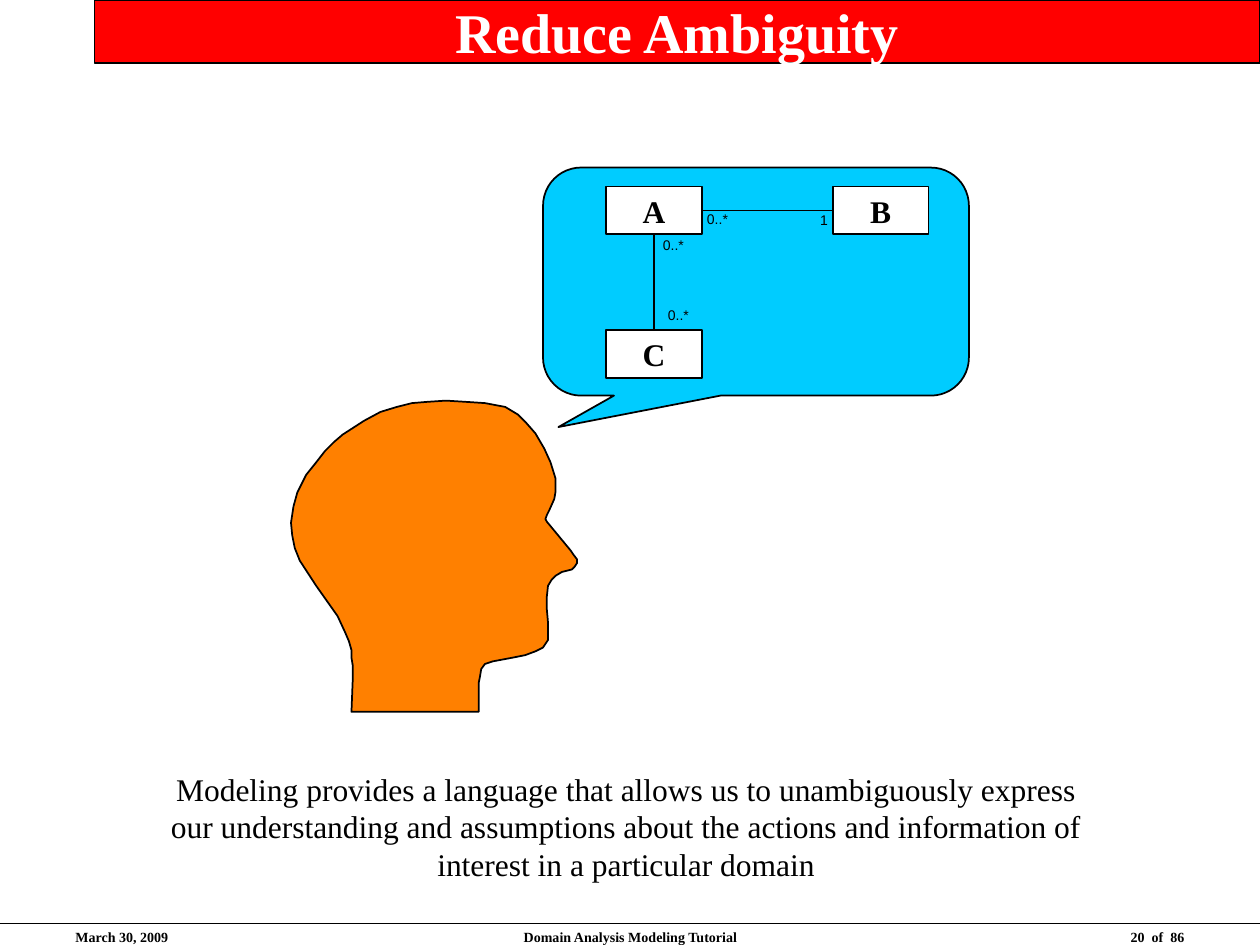
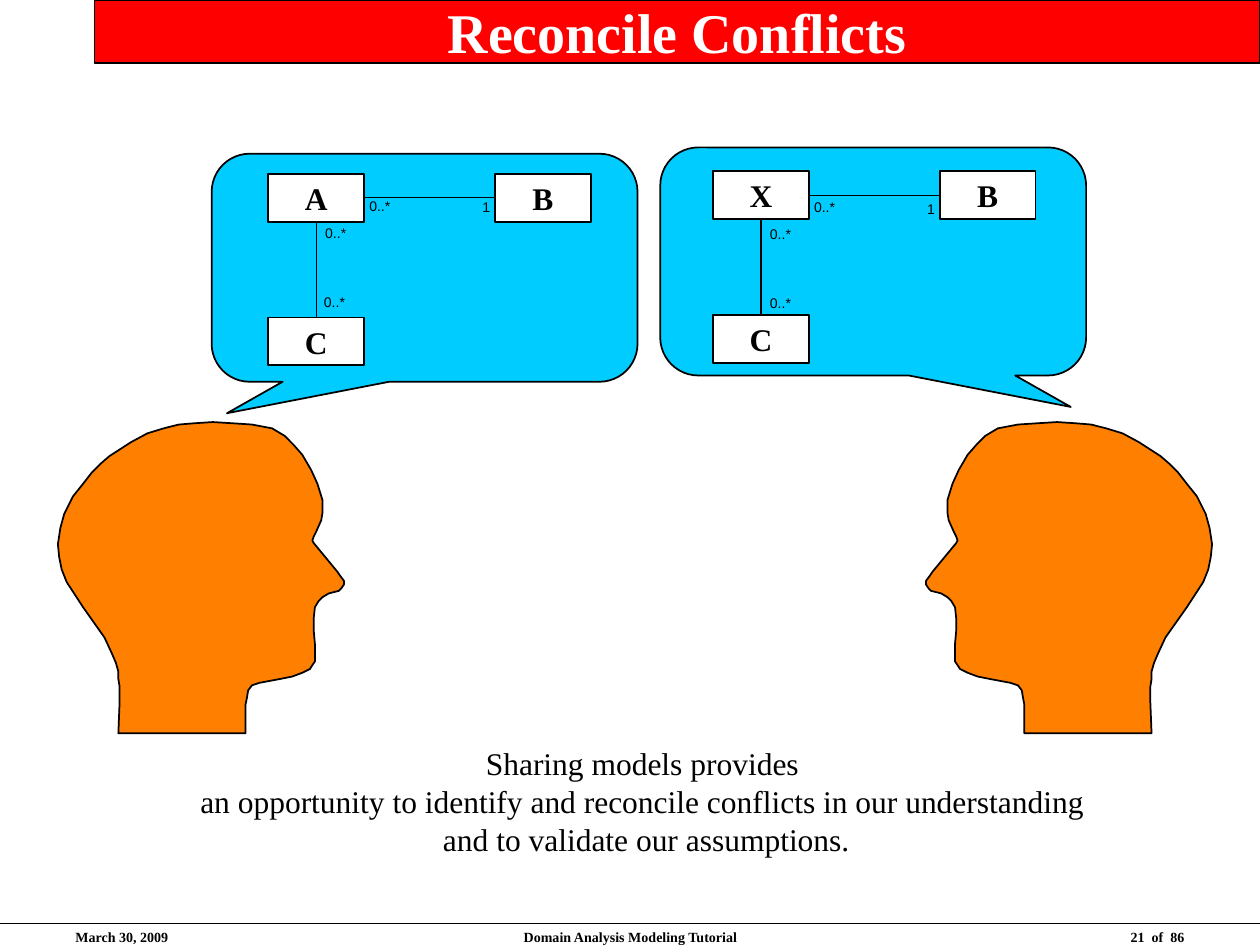
from lxml import etree
from pptx import Presentation
from pptx.dml.color import RGBColor
from pptx.enum import shapes as kinds, text as styles
from pptx.oxml import ns
from pptx.util import Inches, Pt

BLACK, WHITE = "000000", "FFFFFF"
BAND_RED, BUBBLE_BLUE, HEAD_ORANGE = "FF0000", "00CCFF", "FF8000"
SERIF, SANS = "Times New Roman", "Arial"
LEFT, CENTER, RIGHT = styles.PP_ALIGN.LEFT, styles.PP_ALIGN.CENTER, styles.PP_ALIGN.RIGHT
RECTANGLE = kinds.MSO_SHAPE.RECTANGLE
STRAIGHT = kinds.MSO_CONNECTOR.STRAIGHT
rgb = RGBColor.from_string

CLASS_WIDTH, CLASS_HEIGHT = 0.76, 0.38
COLUMN_STEP, ROW_STEP = 1.8, 1.14
BUBBLE_WIDTH, BUBBLE_HEIGHT = 3.38, 1.81

# Head facing right, measured from its upper left corner
HEAD_WIDTH = 2.27
HEAD_OUTLINE = [
    (1.49, 2.47), (1.49, 2.24), (1.5, 2.19), (1.51, 2.13), (1.54, 2.09), (1.6, 2.07),
    (1.76, 2.04), (1.86, 2.02), (1.94, 1.99), (2, 1.96), (2.02, 1.93), (2.04, 1.9),
    (2.04, 1.84), (2.04, 1.76), (2.03, 1.65), (2.03, 1.56), (2.04, 1.47), (2.07, 1.42),
    (2.1, 1.39), (2.15, 1.36), (2.23, 1.34), (2.25, 1.32), (2.27, 1.29), (2.27, 1.26),
    (2.24, 1.22), (2.22, 1.19), (2.03, 0.96), (2.02, 0.94), (2.03, 0.91), (2.05, 0.87),
    (2.09, 0.78), (2.1, 0.72), (2.1, 0.62), (2.06, 0.49), (2.01, 0.38), (1.94, 0.26),
    (1.87, 0.18), (1.8, 0.11), (1.7, 0.05), (1.54, 0.02), (1.39, 0.01), (1.23, 0),
    (1.08, 0.01), (0.96, 0.02), (0.84, 0.05), (0.71, 0.09), (0.58, 0.16), (0.41, 0.27),
    (0.34, 0.33), (0.27, 0.4), (0.2, 0.49), (0.12, 0.59), (0.05, 0.73), (0.02, 0.84),
    (0, 0.97), (0.01, 1.07), (0.03, 1.17), (0.07, 1.27), (0.2, 1.47), (0.37, 1.71),
    (0.43, 1.84), (0.46, 1.91), (0.48, 1.98), (0.48, 2.04), (0.49, 2.1), (0.49, 2.22),
    (0.48, 2.47),
]

# heads: left, top, mirrored
# bubbles: left, top, mirrored, first class name, its left and top,
#          offset of the lowest label, drop of all labels
PAGES = [
    dict(
        title="Reduce Ambiguity",
        number="20  of  86",
        caption="Modeling provides a language that allows us to unambiguously express "
                "our understanding and assumptions about the actions and information of "
                "interest in a particular domain",
        caption_at=(1.19, 6.06, 7.56, 1),
        wrap=True,
        heads=[(2.31, 3.18, False)],
        bubbles=[(4.31, 1.33, False, "A", 4.81, 1.48, 0.39, 0)],
    ),
    dict(
        title="Reconcile Conflicts",
        number="21  of  86",
        caption="Sharing models provides \n"
                "an opportunity to identify and reconcile conflicts in our understanding \n"
                "and to validate our assumptions.",
        caption_at=(1.49, 5.86, 7.28, 1),
        wrap=False,
        heads=[(0.46, 3.35, False), (7.35, 3.35, True)],
        bubbles=[
            (1.68, 1.22, False, "A", 2.13, 1.38, 0.34, 0),
            (5.24, 1.17, True, "X", 5.66, 1.36, 0.35, 0.03),
        ],
    ),
]


def paint(shape, fill, width):
    """Give a shape or connector a black line, an optional fill and no shadow."""
    shape.line.color.rgb = rgb(BLACK)
    shape.line.width = Pt(width)
    if fill:
        shape.shadow.inherit = False
        shape.fill.solid()
        shape.fill.fore_color.rgb = rgb(fill)
    else:
        etree.SubElement(shape._element.spPr, ns.qn("a:effectLst"))


def write(shape, words, size, font=SERIF, bold=False, color=BLACK, align=CENTER, wrap=True):
    frame = shape.text_frame
    frame.text = words
    frame.word_wrap = wrap
    for para in frame.paragraphs:
        para.alignment = align
        for span in para.runs:
            span.font.name = font
            span.font.size = Pt(size)
            span.font.bold = bold
            span.font.color.rgb = rgb(color)


deck = Presentation()
deck.slide_width, deck.slide_height = Inches(10), Inches(7.5)

for content in PAGES:
    page = deck.slides.add_slide(deck.slide_layouts[6])

    # Footer
    rule = page.shapes.add_connector(STRAIGHT, 0, Inches(7.33), Inches(10), Inches(7.33))
    paint(rule, None, 0.75)
    for left, width, words, align in [
        (0.5, 2.33, "March 30, 2009", LEFT),
        (3.42, 3.17, "Domain Analysis Modeling Tutorial", CENTER),
        (7.17, 2.33, content["number"], RIGHT),
    ]:
        footer = page.shapes.add_textbox(Inches(left), Inches(7.32), Inches(width), Inches(0.17))
        write(footer, words, 8, bold=True, align=align)

    # Title band
    band = page.shapes.add_shape(RECTANGLE, Inches(0.75), 0, Inches(9.25), Inches(0.5))
    paint(band, BAND_RED, 0.75)
    write(band, content["title"], 32, bold=True, color=WHITE)
    band.text_frame.vertical_anchor = styles.MSO_ANCHOR.MIDDLE

    # Heads
    for left, top, mirrored in content["heads"]:
        points = [
            (Inches(left + (HEAD_WIDTH - x if mirrored else x)), Inches(top + y))
            for x, y in HEAD_OUTLINE
        ]
        outline = page.shapes.build_freeform(*points[0])
        outline.add_line_segments(points[1:], close=True)
        paint(outline.convert_to_shape(), HEAD_ORANGE, 1)

    # Caption
    caption = page.shapes.add_textbox(*[Inches(n) for n in content["caption_at"]])
    write(caption, content["caption"], 18, wrap=content["wrap"])

    # Speech bubbles, each with a small class diagram
    for left, top, mirrored, name, model_left, model_top, low_label, drop in content["bubbles"]:
        group = page.shapes.add_group_shape()
        bubble = group.shapes.add_shape(
            kinds.MSO_SHAPE.ROUNDED_RECTANGULAR_CALLOUT,
            Inches(left), Inches(top), Inches(BUBBLE_WIDTH), Inches(BUBBLE_HEIGHT))
        bubble.adjustments[0] = 0.464 if mirrored else -0.464
        bubble.adjustments[1] = 0.638
        bubble.adjustments[2] = 0.167
        paint(bubble, BUBBLE_BLUE, 1)

        classes = []
        for words, column, row in [(name, 0, 0), ("C", 0, 1), ("B", 1, 0)]:
            box = group.shapes.add_shape(
                RECTANGLE,
                Inches(model_left + column * COLUMN_STEP), Inches(model_top + row * ROW_STEP),
                Inches(CLASS_WIDTH), Inches(CLASS_HEIGHT))
            paint(box, WHITE, 1)
            write(box, words, 18, bold=True, wrap=False)
            box.text_frame.vertical_anchor = styles.MSO_ANCHOR.MIDDLE
            classes.append(box)

        first, below, beside = classes
        for target, start_side, end_side in [(below, 2, 0), (beside, 3, 1)]:
            association = group.shapes.add_connector(STRAIGHT, 0, 0, 0, 0)
            association.begin_connect(first, start_side)
            association.end_connect(target, end_side)
            paint(association, None, 0.75)

        for words, x, y, width in [
            ("0..*", low_label, 0.9, 0.37),
            ("0..*", 0.35, 0.35, 0.37),
            ("0..*", 0.7, 0.14, 0.37),
            ("1", 1.6, 0.15, 0.26),
        ]:
            label = group.shapes.add_textbox(
                Inches(model_left + x), Inches(model_top + y + drop),
                Inches(width), Inches(0.24))
            write(label, words, 8, font=SANS, wrap=False)

deck.save("out.pptx")
